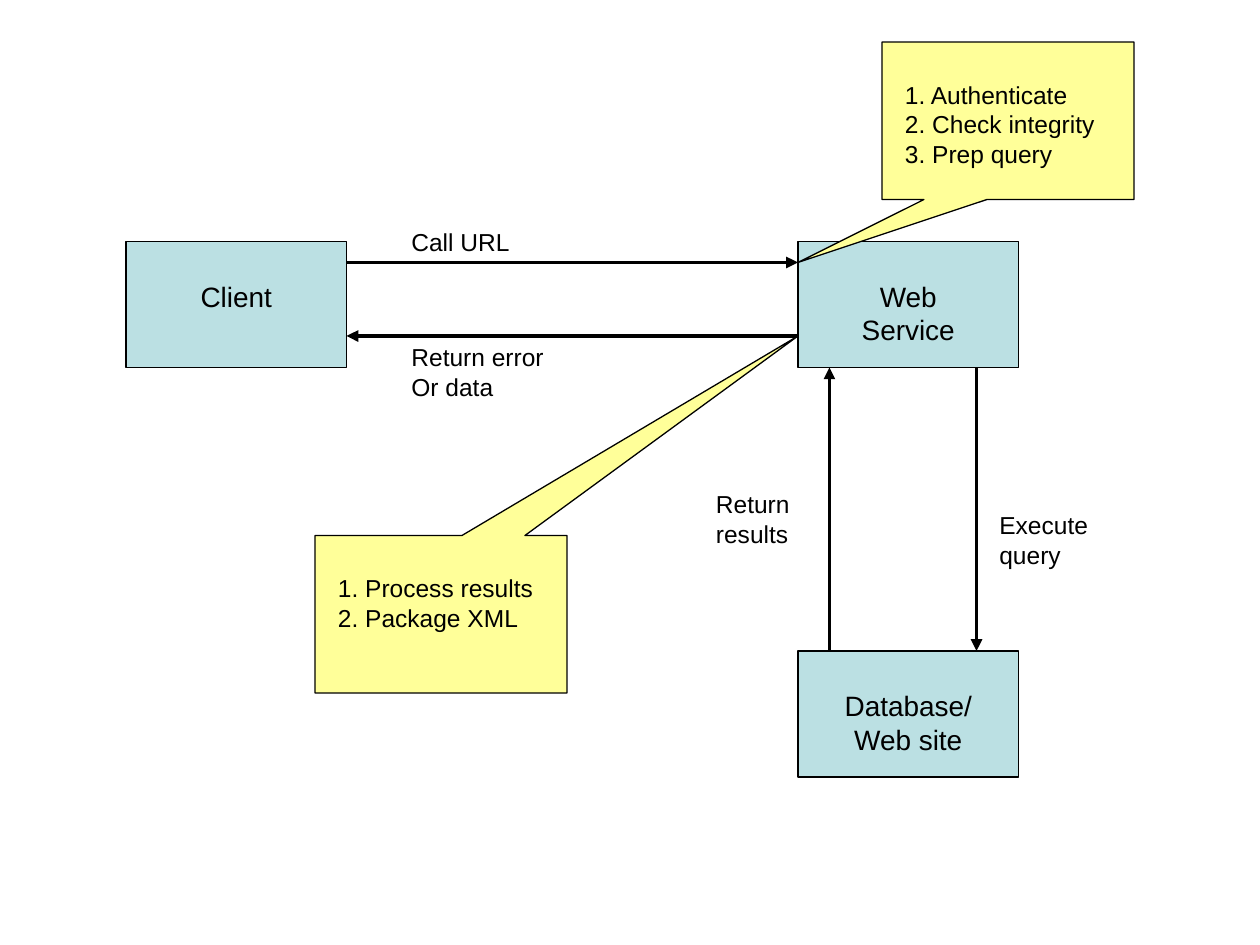
from dataclasses import dataclass

from lxml.etree import SubElement
from pptx import Presentation
from pptx.dml.color import RGBColor
from pptx.enum.shapes import MSO_CONNECTOR, MSO_SHAPE
from pptx.enum.text import MSO_AUTO_SIZE, PP_ALIGN
from pptx.oxml.ns import qn
from pptx.util import Inches, Pt


@dataclass(frozen=True)
class Theme:
    font: str = "Arial"
    ink: RGBColor = RGBColor(0x00, 0x00, 0x00)
    node_fill: RGBColor = RGBColor(0xBB, 0xE0, 0xE3)
    note_fill: RGBColor = RGBColor(0xFF, 0xFF, 0x99)
    node_size: Pt = Pt(16)
    label_size: Pt = Pt(14)
    outline: Pt = Pt(0.75)
    arrow: Pt = Pt(2.25)


def apply_format(target, values):
    for name, value in values.items():
        setattr(target, name, value)


class FlowSlide:
    """Places elements on a grid of 120 columns by 90 rows."""

    COLUMNS, ROWS = 120, 90
    NODE = (21, 12)
    NOTE = (24, 15)

    def __init__(self, deck, theme):
        self.theme = theme
        self.column = deck.slide_width / self.COLUMNS
        self.row = deck.slide_height / self.ROWS
        self.shapes = deck.slides.add_slide(deck.slide_layouts[6]).shapes

    def place(self, *cells):
        """Turn alternating columns and rows into lengths."""
        units = (self.column, self.row) * 2
        return [round(cell * unit) for cell, unit in zip(cells, units)]

    def panel(self, shapes, preset, cells, fill):
        panel = shapes.add_shape(preset, *self.place(*cells))
        panel.shadow.inherit = False
        panel.fill.solid()
        panel.fill.fore_color.rgb = fill
        panel.line.color.rgb = self.theme.ink
        panel.line.width = self.theme.outline
        return panel

    def text(self, shapes, cells, lines, size, wrap=True, **paragraph_format):
        frame = shapes.add_textbox(*self.place(*cells)).text_frame
        apply_format(frame, {
            "text": "\n".join(lines),
            "word_wrap": wrap,
            "auto_size": MSO_AUTO_SIZE.SHAPE_TO_FIT_TEXT,
        })
        for paragraph in frame.paragraphs:
            apply_format(paragraph, paragraph_format)
            for run in paragraph.runs:
                apply_format(run.font, {"name": self.theme.font, "size": size})
                run.font.color.rgb = self.theme.ink

    def node(self, left, top, name, text_height):
        width, height = self.NODE
        group = self.shapes.add_group_shape().shapes
        self.panel(group, MSO_SHAPE.RECTANGLE, (left, top, width, height),
                   self.theme.node_fill)
        self.text(group, (left + 3, top + 3, width - 6, text_height), [name],
                  self.theme.node_size, alignment=PP_ALIGN.CENTER,
                  space_before=Pt(10))

    def label(self, left, top, width, *lines):
        self.text(self.shapes, (left, top, width, 1.3 + 2.8 * len(lines)),
                  lines, self.theme.label_size, wrap=False)

    def arrow(self, start, end):
        line = self.shapes.add_connector(
            MSO_CONNECTOR.STRAIGHT, *self.place(*start, *end))
        line.line.color.rgb = self.theme.ink
        line.line.width = self.theme.arrow
        SubElement(line.line._get_or_add_ln(), qn("a:tailEnd"), type="triangle")
        SubElement(line._element.spPr, qn("a:effectLst"))

    def note(self, left, top, tip, *lines):
        width, height = self.NOTE
        callout = self.panel(self.shapes, MSO_SHAPE.RECTANGULAR_CALLOUT,
                             (left, top, width, height), self.theme.note_fill)
        # The tip is measured from the callout's centre
        callout.adjustments[0] = (tip[0] - left) / width - 0.5
        callout.adjustments[1] = (tip[1] - top) / height - 0.5
        self.text(self.shapes,
                  (left + 1, top + 3, width - 2, 1.3 + 2.8 * len(lines)),
                  lines, self.theme.label_size)


def main():
    deck = Presentation()
    deck.slide_width, deck.slide_height = Inches(10), Inches(7.5)
    flow = FlowSlide(deck, Theme())

    # Edges shared by the nodes and the arrows between them
    client_left, service_left = 12, 76
    service_top, database_top = 23, 62
    node_width, node_height = flow.NODE
    client_right = client_left + node_width
    service_bottom = service_top + node_height
    call_row, reply_row = 25, 32
    results_column, query_column = 79, 93
    call_end = (service_left, call_row)
    reply_start = (service_left, reply_row)

    # Client and web service
    flow.node(client_left, service_top, "Client", 4.4)
    flow.node(service_left, service_top, "Web Service", 7.7)
    flow.arrow((client_right, call_row), call_end)
    flow.label(38, 21, 11.8, "Call URL")
    flow.arrow(reply_start, (client_right, reply_row))
    flow.label(38, 32, 15, "Return error", "Or data")

    # Database
    flow.node(service_left, database_top, "Database/Web site", 7.7)
    flow.arrow((query_column, service_bottom), (query_column, database_top))
    flow.label(94, 48, 17.3, "Execute query")
    flow.arrow((results_column, database_top), (results_column, service_bottom))
    flow.label(67, 46, 10, "Return", "results")

    # Notes on the work of the service
    flow.note(84, 4, call_end,
              "1. Authenticate", "2. Check integrity", "3. Prep query")
    flow.note(30, 51, reply_start, "1. Process results", "2. Package XML")

    deck.save("out.pptx")


if __name__ == "__main__":
    main()
